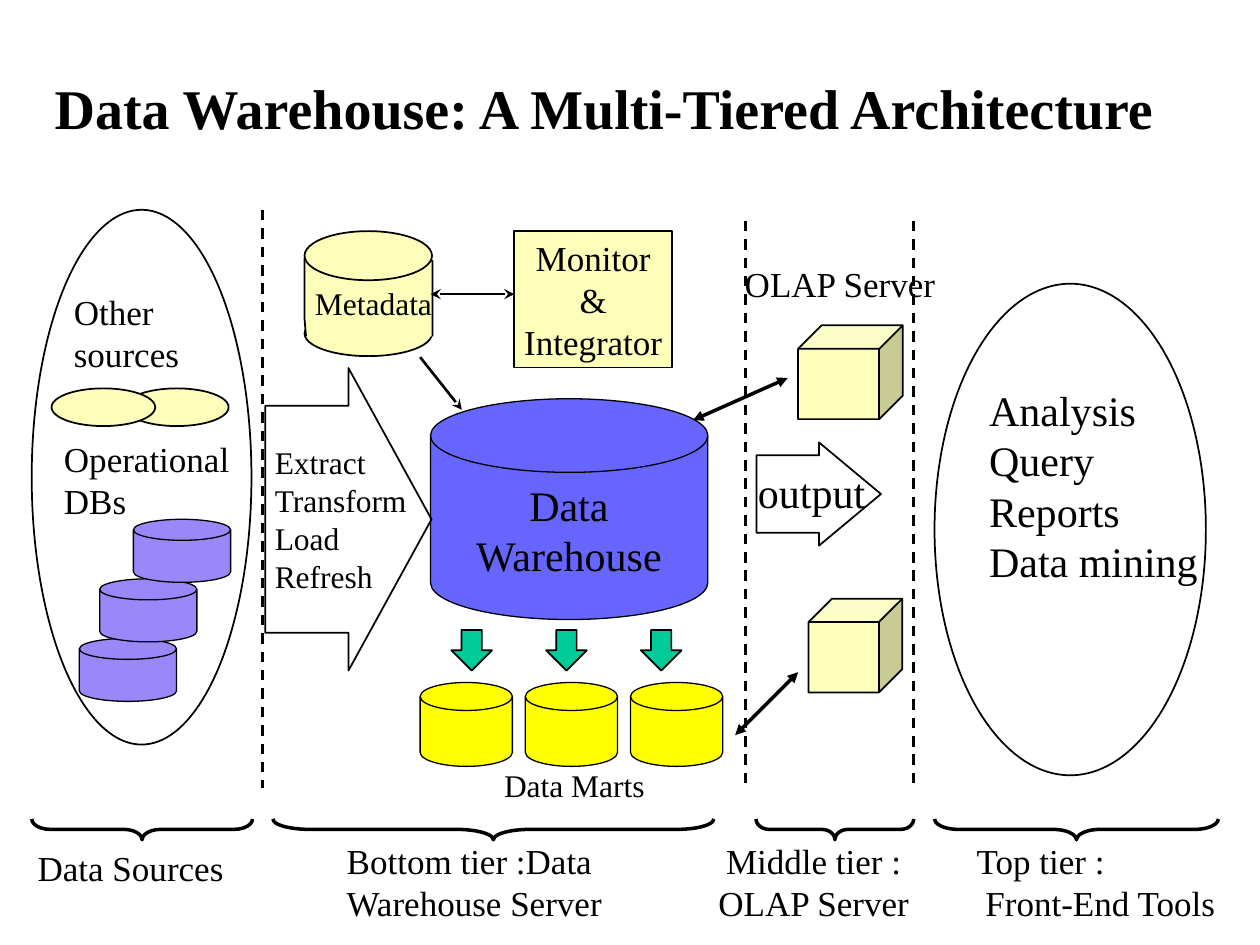
import pptx
import pptx.util
import pptx.dml.color
import pptx.enum.dml
import pptx.enum.shapes
import pptx.enum.text
import pptx.oxml.ns
import lxml.etree

Cm = pptx.util.Cm
Pt = pptx.util.Pt
SHAPE = pptx.enum.shapes.MSO_SHAPE
ALIGN = pptx.enum.text.PP_ALIGN
ANCHOR = pptx.enum.text.MSO_ANCHOR
qn = pptx.oxml.ns.qn

COLORS = {
    "ink": "000000",
    "paper": "FFFFFF",
    "cream": "FCFEB9",
    "warehouse": "6666FF",
    "database": "9A87F9",
    "flow": "00CC99",
    "mart": "FFFF00",
}


def rgb(name):
    return pptx.dml.color.RGBColor.from_string(COLORS[name])


def write_text(frame, text, size=20, bold=False, align=ALIGN.LEFT,
               anchor=ANCHOR.TOP, wrap=False, inset=True, font="Times New Roman"):
    frame.auto_size = pptx.enum.text.MSO_AUTO_SIZE.NONE
    frame.word_wrap = wrap
    frame.vertical_anchor = anchor
    frame.margin_left = frame.margin_right = Cm(0.25 if inset else 0)
    frame.margin_top = frame.margin_bottom = Cm(0.13 if inset else 0)
    frame.text = text
    for paragraph in frame.paragraphs:
        properties = paragraph._p.get_or_add_pPr()
        properties.set("marL", "0")
        properties.set("indent", "0")
        lxml.etree.SubElement(properties, qn("a:buNone"))
        paragraph.alignment = align
        paragraph.space_before = Pt(0)
        paragraph.line_spacing = Pt(size * 1.2)
        for run in paragraph.runs:
            run.font.name = font
            run.font.size = Pt(size)
            run.font.bold = bold
            run.font.color.rgb = rgb("ink")


class Diagram:
    def __init__(self, slide):
        self.slide = slide
        self.shapes = slide.shapes

    def paint(self, shape, fill, weight):
        shape.shadow.inherit = False
        if fill:
            shape.fill.solid()
            shape.fill.fore_color.rgb = rgb(fill)
        else:
            shape.fill.background()
        shape.line.color.rgb = rgb("ink")
        shape.line.width = Pt(weight)

    def shape(self, kind, *box, fill=None, weight=1, adjust=()):
        shape = self.shapes.add_shape(kind, *map(Cm, box))
        self.paint(shape, fill, weight)
        for index, value in enumerate(adjust):
            shape.adjustments[index] = value
        return shape

    def disk(self, *box, fill):
        return self.shape(SHAPE.FLOWCHART_MAGNETIC_DISK, *box, fill=fill, weight=0.75)

    def outline(self, points, fill):
        start, *rest = [(Cm(x), Cm(y)) for x, y in points]
        builder = self.shapes.build_freeform(*start)
        builder.add_line_segments(rest, close=False)
        self.paint(builder.convert_to_shape(), fill, 1)

    def brace(self, left, length, top=16.51, depth=0.42):
        shift = (length - depth) / 2
        brace = self.shape(SHAPE.RIGHT_BRACE, left + shift, top - shift, depth, length,
                           weight=2, adjust=(length / 12 / depth, 0.5))
        brace.rotation = 90

    def label(self, text, *box, **style):
        write_text(self.shapes.add_textbox(*map(Cm, box)).text_frame, text, **style)

    def placeholder(self, index, text, *box, **style):
        holder = self.slide.placeholders[index]
        holder.left, holder.top, holder.width, holder.height = map(Cm, box)
        write_text(holder.text_frame, text, **style)
        return holder

    def line(self, *ends, weight=1, dashed=False, head=None, tail=None):
        straight = pptx.enum.shapes.MSO_CONNECTOR.STRAIGHT
        line = self.shapes.add_connector(straight, *map(Cm, ends))
        line.line.color.rgb = rgb("ink")
        line.line.width = Pt(weight)
        if dashed:
            line.line.dash_style = pptx.enum.dml.MSO_LINE.DASH
        stroke = line.line._get_or_add_ln()
        for tag, kind in (("a:headEnd", head), ("a:tailEnd", tail)):
            if kind:
                lxml.etree.SubElement(stroke, qn(tag)).set("type", kind)
        lxml.etree.SubElement(line._element.spPr, qn("a:effectLst"))


def draw_sources(diagram):
    diagram.shape(SHAPE.OVAL, 2.52, 7.83, 2.09, 0.76, fill="cream")
    diagram.shape(SHAPE.OVAL, 0.64, 4.23, 4.43, 10.78)
    diagram.shape(SHAPE.OVAL, 1.04, 7.83, 2.09, 0.76, fill="cream")
    diagram.label("Operational\nDBs", 1.04, 8.69, 4.04, 1.96)
    diagram.label("Other\nsources", 1.24, 5.72, 3.05, 1.96, wrap=True)
    for left, top in ((1.6, 12.87), (2.01, 11.67), (2.69, 10.47)):
        diagram.disk(left, top, 1.96, 1.27, fill="database")


def draw_warehouse(diagram):
    diagram.disk(8.68, 8.04, 5.59, 4.45, fill="warehouse")
    diagram.label("Data\nWarehouse", 9.31, 9.53, 4.32, 2.29, size=24, align=ALIGN.CENTER)
    diagram.shape(SHAPE.RIGHT_ARROW, 5.35, 7.42, 3.35, 6.1, adjust=(0.75, 0.5))
    diagram.label("Extract\nTransform\nLoad\nRefresh", 5.29, 8.81, 3.2, 3.3, size=18)
    monitor = diagram.shape(SHAPE.RECTANGLE, 10.37, 4.66, 3.18, 2.75, fill="cream")
    write_text(monitor.text_frame, "Monitor\n&\nIntegrator",
               align=ALIGN.CENTER, anchor=ANCHOR.MIDDLE)
    diagram.shape(SHAPE.OVAL, 6.14, 6.27, 2.57, 0.91, fill="cream")
    diagram.outline([(6.17, 6.78), (6.14, 6.43), (6.14, 5.21), (8.72, 5.26), (8.72, 6.78)],
                    fill="cream")
    diagram.shape(SHAPE.OVAL, 6.14, 4.66, 2.57, 0.99, fill="cream")
    diagram.label("Metadata", 6.35, 5.72, 2.36, 0.76, size=18, inset=False)
    diagram.line(8.68, 5.93, 10.37, 5.93, head="stealth", tail="stealth")
    diagram.line(8.47, 7.2, 9.31, 8.26, weight=1.5, tail="stealth")
    for mart in range(3):
        diagram.shape(SHAPE.DOWN_ARROW, 9.1 + 1.91 * mart, 12.7, 0.82, 0.82, fill="flow")
        diagram.disk(8.47 + 2.12 * mart, 13.76, 1.86, 1.69, fill="mart")
    diagram.label("Data Marts", 10.16, 15.45, 2.84, 0.76, size=18,
                  align=ALIGN.CENTER, inset=False)


def draw_servers(diagram):
    diagram.label("OLAP Server", 14.82, 5.29, 4.23, 0.84, align=ALIGN.CENTER,
                  wrap=True, inset=False)
    diagram.shape(SHAPE.CUBE, 16.09, 6.56, 2.11, 1.89, fill="cream")
    diagram.shape(SHAPE.CUBE, 16.3, 12.07, 1.89, 1.89, fill="cream")
    for ends in ((13.97, 8.47, 15.88, 7.62), (14.82, 14.82, 16.09, 13.55)):
        diagram.line(*ends, weight=2, head="triangle", tail="triangle")
    diagram.shape(SHAPE.RIGHT_ARROW, 15.25, 8.92, 2.51, 2.08, adjust=(0.75, 0.6))
    diagram.label("output", 15.03, 9.27, 2.67, 1.27, size=24, wrap=True)


def draw_tiers(diagram):
    for x, top in ((5.29, 4.23), (15.03, 4.45), (18.42, 4.45)):
        diagram.line(x, top, x, 15.88, weight=1.5, dashed=True)
    for left, length in ((0.64, 4.45), (5.5, 8.89), (15.24, 3.18), (18.84, 5.72)):
        diagram.brace(left, length)
    diagram.label("Data Sources", 0.51, 16.93, 4.27, 1.09)
    diagram.label("Bottom tier :Data\nWarehouse Server", 6.99, 16.92, 5.21, 1.69, inset=False)
    diagram.label("Middle tier : OLAP Server", 13.76, 16.93, 5.29, 1.69,
                  align=ALIGN.CENTER, wrap=True, inset=False)
    diagram.label("Top tier :\n Front-End Tools", 19.69, 16.92, 4.88, 1.69, inset=False)


def main():
    deck = pptx.Presentation()
    deck.slide_width, deck.slide_height = Cm(25.4), Cm(19.05)
    diagram = Diagram(deck.slides.add_slide(deck.slide_layouts[1]))
    title = diagram.placeholder(0, "Data Warehouse: A Multi-Tiered Architecture",
                                0.85, 1.27, 23.7, 1.69, size=32, bold=True,
                                anchor=ANCHOR.BOTTOM, wrap=True)
    title.fill.solid()
    title.fill.fore_color.rgb = rgb("paper")
    diagram.placeholder(1, "Analysis\nQuery\nReports\nData mining",
                        19.69, 7.62, 4.72, 4.32, size=24)
    draw_warehouse(diagram)
    draw_servers(diagram)
    diagram.shape(SHAPE.OVAL, 18.84, 5.72, 5.47, 9.91)
    draw_sources(diagram)
    draw_tiers(diagram)
    deck.save("out.pptx")


if __name__ == "__main__":
    main()
